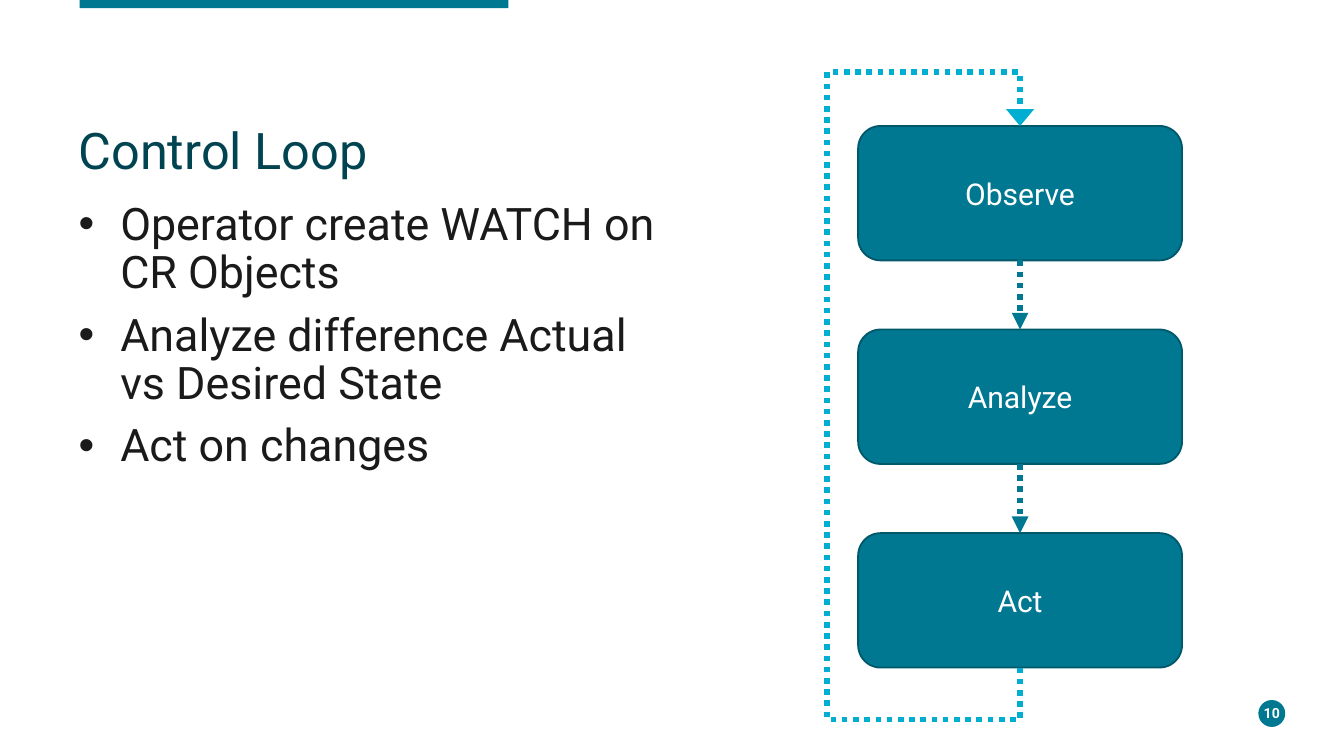
from dataclasses import dataclass

import pptx
import pptx.dml.color
import pptx.enum.dml
import pptx.enum.shapes
import pptx.enum.text
import pptx.oxml.ns
import pptx.util
from lxml import etree

RGB = pptx.dml.color.RGBColor
SHAPE = pptx.enum.shapes.MSO_SHAPE
ALIGN = pptx.enum.text.PP_ALIGN
ANCHOR = pptx.enum.text.MSO_ANCHOR

TEAL = RGB(0x00, 0x78, 0x91)
TEAL_EDGE = RGB(0x00, 0x59, 0x6B)
TEAL_DARK = RGB(0x00, 0x44, 0x52)
CYAN = RGB(0x00, 0xAE, 0xD2)
INK = RGB(0x1A, 0x1A, 0x1A)
WHITE = RGB(0xFF, 0xFF, 0xFF)
FONT = "Roboto"

WIDTH = pptx.util.Inches(10)
HEIGHT = WIDTH * 9 // 16


@dataclass(frozen=True)
class Box:
    """A rectangle in percent of the slide's width and height."""
    left: float
    top: float
    width: float
    height: float

    def emu(self) -> tuple[int, int, int, int]:
        return (*point(self.left, self.top), *point(self.width, self.height))


def point(x: float, y: float) -> tuple[int, int]:
    """Turn percent of the slide into lengths."""
    return round(WIDTH * x / 100), round(HEIGHT * y / 100)


BAR = Box(5.92, 0, 31.9, 1.07)
BADGE = Box(93.63, 92.6, 2, 3.56)
NUMBER = Box(93.13, 92.88, 3, 2.85)
TITLE = Box(5.85, 16.67, 87.3, 8)
BODY = Box(5.85, 26.67, 44.7, 61.7)

STEPS = ["Observe", "Analyze", "Act"]
STEP = Box(63.85, 16.67, 24.1, 17.78)
STEP_PITCH = 26.93
LOOP_LEFT, LOOP_TOP, LOOP_BOTTOM = 61.54, 9.56, 95.15

BULLETS = [
    "Operator create WATCH on CR Objects",
    "Analyze difference Actual vs Desired State",
    "Act on changes",
]


def write(s, *lines: str, size: float, color: RGB, bold: bool = False,
          align=ALIGN.LEFT, anchor=ANCHOR.MIDDLE, inset: float | None = 0,
          spacing: float = 1, before: float = 0, bullet: bool = False) -> None:
    tf = s.text_frame
    tf.word_wrap = True
    tf.auto_size = pptx.enum.text.MSO_AUTO_SIZE.NONE
    tf.vertical_anchor = anchor
    if inset is not None:
        tf.margin_left = tf.margin_right = pptx.util.Inches(inset)
        tf.margin_top = tf.margin_bottom = pptx.util.Inches(inset)
    for i, line in enumerate(lines):
        p = tf.add_paragraph() if i else tf.paragraphs[0]
        p.alignment, p.line_spacing = align, spacing
        p.space_before = pptx.util.Pt(before)
        if bullet:
            add_bullet(p)
        r = p.add_run()
        r.text = line
        r.font.name, r.font.size, r.font.bold = FONT, pptx.util.Pt(size), bold
        r.font.color.rgb = color


def add_bullet(p) -> None:
    pPr = p._p.get_or_add_pPr()
    indent = pptx.util.Inches(0.31)
    pPr.set("marL", str(indent))
    pPr.set("indent", str(-indent))
    etree.SubElement(pPr, pptx.oxml.ns.qn("a:buFont"), typeface="Arial")
    etree.SubElement(pPr, pptx.oxml.ns.qn("a:buChar"), char="•")


def add_shape(slide, kind, box: Box, edge: RGB | None = None):
    s = slide.shapes.add_shape(kind, *box.emu())
    s.shadow.inherit = False
    s.fill.solid()
    s.fill.fore_color.rgb = TEAL
    if edge is None:
        s.line.fill.background()
    else:
        s.line.color.rgb, s.line.width = edge, pptx.util.Pt(1)
    return s


def dotted_arrow(line, color: RGB, head_width: str = "med") -> None:
    line.color.rgb, line.width = color, pptx.util.Pt(3)
    line.dash_style = pptx.enum.dml.MSO_LINE.ROUND_DOT
    etree.SubElement(line._get_or_add_ln(), pptx.oxml.ns.qn("a:tailEnd"),
                     type="triangle", w=head_width, len="med")


def connect(slide, upper, lower) -> None:
    c = slide.shapes.add_connector(
        pptx.enum.shapes.MSO_CONNECTOR.STRAIGHT, 0, 0, 0, 0)
    c.begin_connect(upper, 2)
    c.end_connect(lower, 0)
    dotted_arrow(c.line, TEAL)
    etree.SubElement(c._element.spPr, pptx.oxml.ns.qn("a:effectLst"))


def add_loop(slide) -> None:
    """Lead from below the last step back to the top of the first."""
    middle = STEP.left + STEP.width / 2
    last_bottom = STEP.top + (len(STEPS) - 1) * STEP_PITCH + STEP.height
    corners = [(middle, LOOP_BOTTOM), (LOOP_LEFT, LOOP_BOTTOM),
               (LOOP_LEFT, LOOP_TOP), (middle, LOOP_TOP), (middle, STEP.top)]
    path = slide.shapes.build_freeform(*point(middle, last_bottom))
    path.add_line_segments([point(*corner) for corner in corners], close=False)
    s = path.convert_to_shape()
    s.shadow.inherit = False
    s.fill.background()
    dotted_arrow(s.line, CYAN, head_width="lg")


def place(s, box: Box):
    s.left, s.top, s.width, s.height = box.emu()
    return s


def main() -> None:
    prs = pptx.Presentation()
    prs.slide_width, prs.slide_height = WIDTH, HEIGHT
    slide = prs.slides.add_slide(prs.slide_layouts[1])

    add_shape(slide, SHAPE.RECTANGLE, BAR)
    add_shape(slide, SHAPE.OVAL, BADGE)
    write(slide.shapes.add_textbox(*NUMBER.emu()), "10", size=7.5,
          color=WHITE, bold=True, align=ALIGN.CENTER)

    write(place(slide.shapes.title, TITLE), "Control Loop", size=27,
          color=TEAL_DARK, anchor=ANCHOR.TOP, spacing=0.9)
    write(place(slide.placeholders[1], BODY), *BULLETS, size=24, color=INK,
          anchor=ANCHOR.TOP, spacing=0.9, before=7.5, bullet=True)

    steps = []
    for i, name in enumerate(STEPS):
        box = Box(STEP.left, STEP.top + i * STEP_PITCH, STEP.width, STEP.height)
        s = add_shape(slide, SHAPE.ROUNDED_RECTANGLE, box, TEAL_EDGE)
        write(s, name, size=16.1, color=WHITE, align=ALIGN.CENTER, inset=None)
        steps.append(s)

    add_loop(slide)
    for upper, lower in zip(steps, steps[1:]):
        connect(slide, upper, lower)
    prs.save("out.pptx")


if __name__ == "__main__":
    main()
